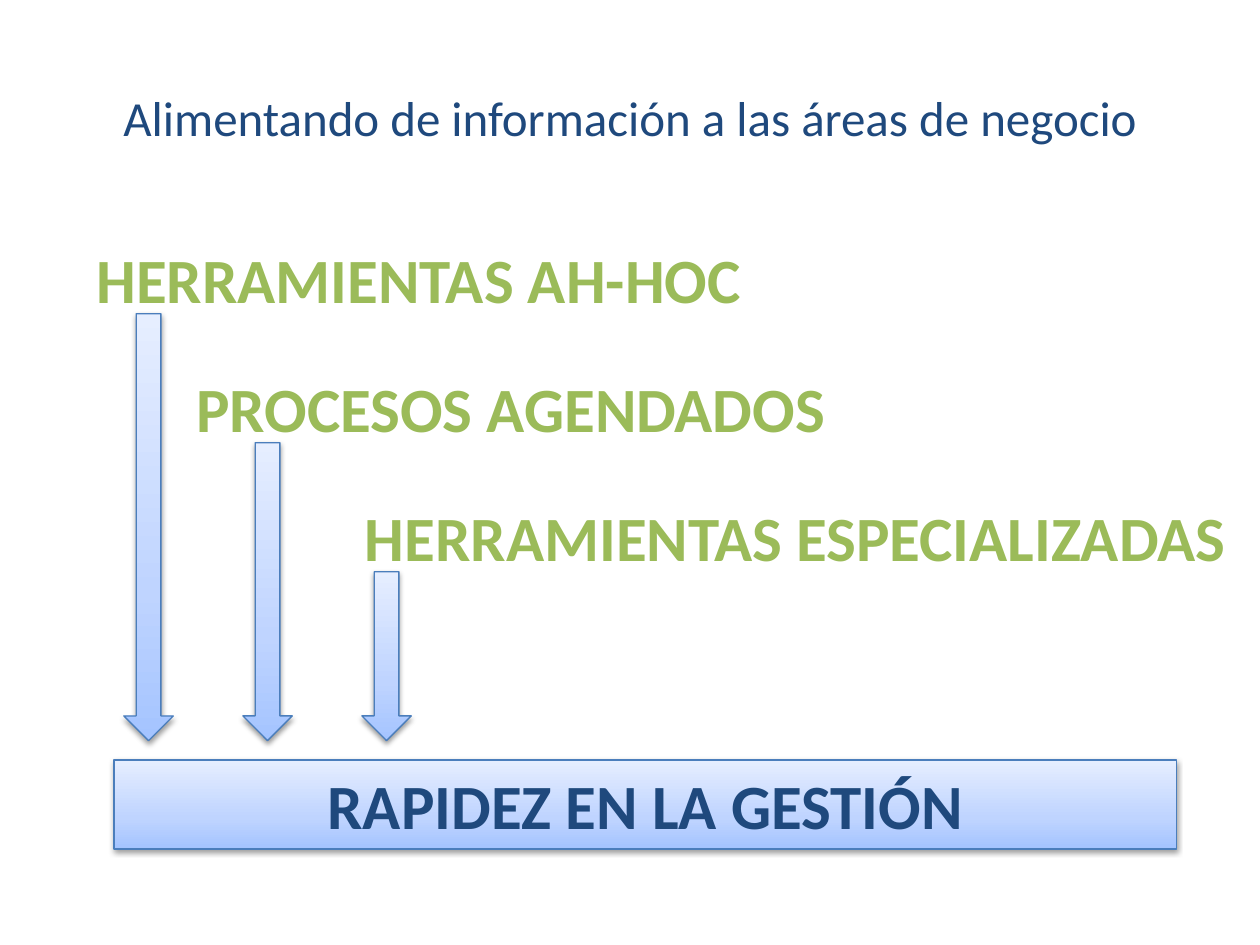
from dataclasses import dataclass

from lxml import etree
from pptx import Presentation
from pptx.dml import color
from pptx.enum import shapes, text
from pptx.oxml import ns
from pptx.util import Pt


@dataclass(frozen=True)
class Theme:
    """Colours, fonts and type sizes of the slide."""
    font: str = "Calibri"
    navy: str = "1F497D"
    green: str = "9BBB59"
    edge: str = "4B7EBC"
    shade: str = "000000"
    ramp: tuple = ((0, "A4C4FF"), (35, "BFD4FF"), (100, "E6EEFF"))
    head: int = 28
    body: int = 36


THEME = Theme()
TOOLS = (
    ("HERRAMIENTAS AH-HOC", 48, 578),
    ("PROCESOS AGENDADOS", 105, 601),
    ("HERRAMIENTAS ESPECIALIZADAS", 201.5, 518.5),
)


def assign(item, values):
    """Set each attribute named in a dict."""
    for name, value in values.items():
        setattr(item, name, value)


def place(item, box):
    """Move and size an item to a box in points."""
    names = ("left", "top", "width", "height")
    assign(item, {name: Pt(size) for name, size in zip(names, box)})


def write(item, words, size, tint, bold, align, anchor):
    """Put one formatted line of text in an item."""
    frame = item.text_frame
    assign(frame, {"text": words, "word_wrap": True, "vertical_anchor": anchor})
    para = frame.paragraphs[0]
    para.alignment = align
    font = para.runs[0].font
    assign(font, {"name": THEME.font, "size": Pt(size), "bold": bold})
    font.color.rgb = color.RGBColor.from_string(tint)


def add_node(base, tag, **values):
    """Append a drawing element with its attributes."""
    attrs = {name: str(value) for name, value in values.items()}
    return etree.SubElement(base, ns.qn(f"a:{tag}"), attrs)


def add_block(slide, kind, box):
    """Add a preset shape with the blue ramp and a soft shadow."""
    shape = slide.shapes.add_shape(kind, *map(Pt, box))
    shape.line.color.rgb = color.RGBColor.from_string(THEME.edge)
    shape.line.width = Pt(0.75)

    shape.fill.gradient()
    shape.fill.gradient_angle = 90
    stops = shape.element.spPr.find(".//" + ns.qn("a:gsLst"))
    for stop in list(stops):
        stops.remove(stop)
    for pos, tint in THEME.ramp:
        add_node(add_node(stops, "gs", pos=pos * 1000), "srgbClr", val=tint)

    shape.shadow.inherit = False
    effects = shape.element.spPr.find(ns.qn("a:effectLst"))
    shadow = add_node(effects, "outerShdw", blurRad=Pt(3.1), dist=Pt(1.6),
                      dir=90 * 60000, rotWithShape=0)
    add_node(add_node(shadow, "srgbClr", val=THEME.shade), "alpha", val=38000)
    return shape


def add_title(slide, box):
    """Place and format the title."""
    title = slide.shapes.title
    place(title, box)
    write(title, "Alimentando de información a las áreas de negocio", THEME.head,
          THEME.navy, False, text.PP_ALIGN.CENTER, text.MSO_ANCHOR.MIDDLE)


def add_tools(slide, box):
    """Place the stepped labels and the arrows that fall from them."""
    left, top, width, height = box
    step, pitch, drop = 73.75, 68, 45.25
    for i, (words, start, span) in enumerate(TOOLS):
        y = top + i * step
        label = slide.shapes.add_textbox(Pt(start), Pt(y), Pt(span), Pt(51))
        write(label, words, THEME.body, THEME.green, True,
              text.PP_ALIGN.LEFT, text.MSO_ANCHOR.TOP)
        area = (left + i * pitch, y + drop, width, height - i * step - drop)
        add_block(slide, shapes.MSO_SHAPE.DOWN_ARROW, area)


def add_result(slide, box):
    """Place the bar that the arrows lead to."""
    bar = add_block(slide, shapes.MSO_SHAPE.RECTANGLE, box)
    write(bar, "RAPIDEZ EN LA GESTIÓN", THEME.body, THEME.navy, True,
          text.PP_ALIGN.CENTER, text.MSO_ANCHOR.MIDDLE)


def main():
    """Build and save the slide."""
    deck = Presentation()
    assign(deck, {"slide_width": Pt(720), "slide_height": Pt(540)})
    slide = deck.slides.add_slide(deck.slide_layouts[5])
    add_title(slide, (36, 21.6, 648, 90))
    add_result(slide, (65.25, 434.25, 607, 51))
    add_tools(slide, (70.75, 134, 28.25, 289.25))
    deck.save("out.pptx")


if __name__ == "__main__":
    main()
